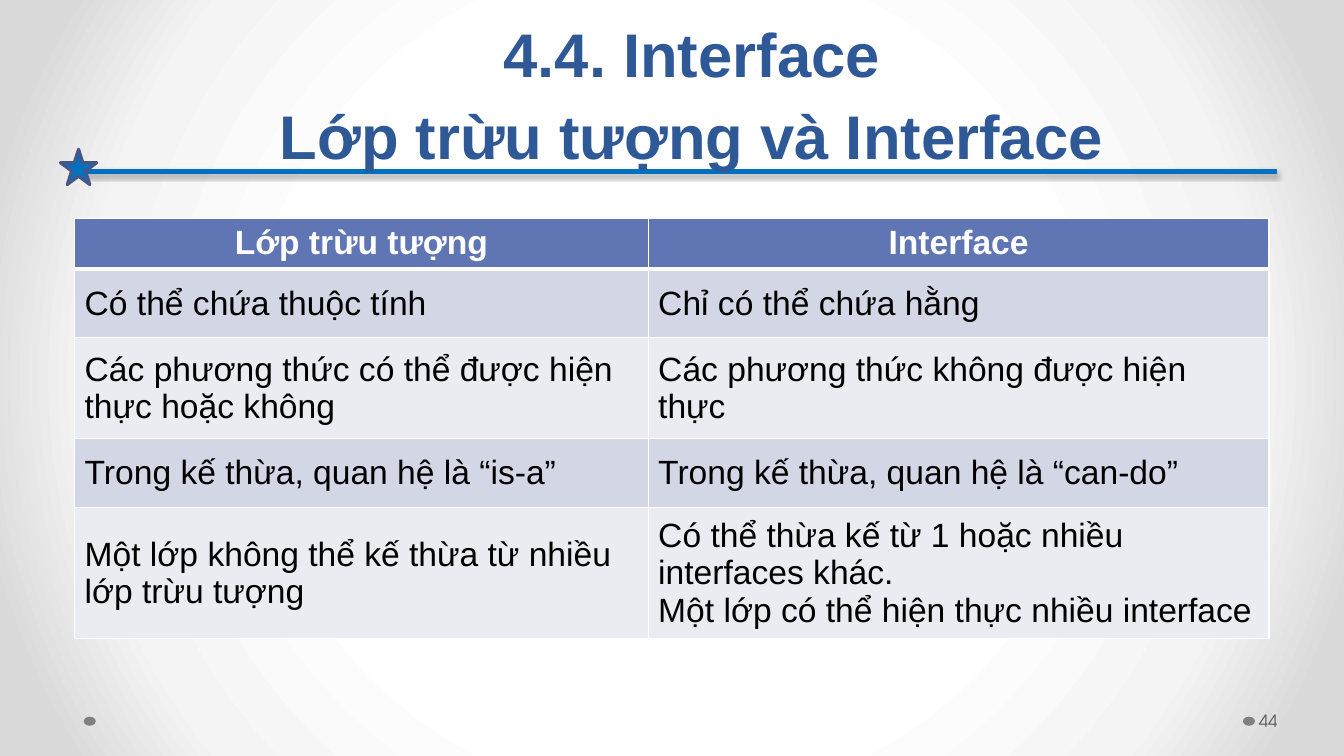
from lxml.etree import SubElement
from pptx import Presentation
from pptx.dml.color import RGBColor
from pptx.enum.shapes import MSO_CONNECTOR as Connector, MSO_SHAPE as Preset
from pptx.enum.text import MSO_ANCHOR as Anchor, PP_ALIGN as Align
from pptx.oxml import parse_xml
from pptx.oxml.ns import nsdecls, qn
from pptx.util import Pt

BLUE, WHITE, GREY = "0070C0", "FFFFFF", "808080"
HEADER, BANDS = "6076B4", ("EAECF2", "D2D6E5")
ROWS = [
    ("Lớp trừu tượng", "Interface"),
    ("Có thể chứa thuộc tính", "Chỉ có thể chứa hằng"),
    ("Các phương thức có thể được hiện thực hoặc không",
     "Các phương thức không được hiện thực"),
    ("Trong kế thừa, quan hệ là “is-a”", "Trong kế thừa, quan hệ là “can-do”"),
    ("Một lớp không thể kế thừa từ nhiều lớp trừu tượng",
     "Có thể thừa kế từ 1 hoặc nhiều interfaces khác.\n"
     "Một lớp có thể hiện thực nhiều interface"),
]
COLUMN_WIDTHS = (409.7, 443.5)
ROW_HEIGHTS = (33.5, 49, 72, 49.5, 88)


def colour(code):
    return RGBColor.from_string(code)


class SlideBuilder:
    """Holds the style and the current slide, and draws each kind of element."""

    font = "Arial"

    def __init__(self, deck):
        self.page = deck.slides.add_slide(deck.slide_layouts[5])

    def background(self, stops):
        self.page.background.fill.gradient()
        gradient = next(self.page.element.iter(qn("a:gradFill")))
        for child in list(gradient):
            gradient.remove(child)
        stop_list = SubElement(gradient, qn("a:gsLst"))
        for position, code in stops:
            stop = SubElement(stop_list, qn("a:gs"), pos=str(position * 1000))
            SubElement(stop, qn("a:srgbClr"), val=code)
        circle = SubElement(gradient, qn("a:path"), {"path": "circle"})
        SubElement(circle, qn("a:fillToRect"), l="50000", t="50000", r="50000", b="50000")

    def format(self, frame, size, code, bold=False, align=Align.LEFT, font=None):
        for para in frame.paragraphs:
            para.alignment = align
            for span in para.runs:
                span.font.name = font or self.font
                span.font.size = Pt(size)
                span.font.bold = bold
                span.font.color.rgb = colour(code)

    def shape(self, preset, left, top, width, height, fill, line=None, weight=0):
        shape = self.page.shapes.add_shape(preset, Pt(left), Pt(top), Pt(width), Pt(height))
        shape.shadow.inherit = False
        shape.fill.solid()
        shape.fill.fore_color.rgb = colour(fill)
        if line:
            shape.line.color.rgb = colour(line)
            shape.line.width = Pt(weight)
        else:
            shape.line.fill.background()

    def rule(self, left, right, top, code, weight):
        rule = self.page.shapes.add_connector(
            Connector.STRAIGHT, Pt(left), Pt(top), Pt(right), Pt(top))
        rule.line.color.rgb = colour(code)
        rule.line.width = Pt(weight)
        rule.element.spPr.append(parse_xml(
            f'<a:effectLst {nsdecls("a")}><a:outerShdw blurRad="{Pt(3.1)}" '
            f'dist="{Pt(1.8)}" dir="5400000" rotWithShape="0"><a:srgbClr val="000000">'
            '<a:alpha val="35000"/></a:srgbClr></a:outerShdw></a:effectLst>'))

    def title(self, text, left, top, width, height):
        title = self.page.shapes.title
        title.left, title.top = Pt(left), Pt(top)
        title.width, title.height = Pt(width), Pt(height)
        frame = title.text_frame
        frame.text = text
        frame.vertical_anchor = Anchor.BOTTOM
        frame.paragraphs[0].line_spacing = Pt(58)
        self.format(frame, 44, "2F5897", True, Align.CENTER)
        title.element.getparent().append(title.element)

    def label(self, text, left, top, width, height):
        box = self.page.shapes.add_textbox(Pt(left), Pt(top), Pt(width), Pt(height))
        frame = box.text_frame
        frame.word_wrap = True
        frame.margin_left, frame.margin_right = Pt(2), Pt(3.6)
        frame.vertical_anchor = Anchor.MIDDLE
        frame.text = text
        self.format(frame, 12, "595959", font="TeX Gyre Adventor")

    def borders(self, cell, bottom):
        properties = cell._tc.get_or_add_tcPr()
        for index, (side, weight) in enumerate(zip("LRTB", (1, 1, 1, bottom))):
            properties.insert(index, parse_xml(
                f'<a:ln{side} {nsdecls("a")} w="{Pt(weight)}"><a:solidFill>'
                f'<a:srgbClr val="{WHITE}"/></a:solidFill></a:ln{side}>'))

    def table(self, rows, left, top, widths, heights):
        table = self.page.shapes.add_table(
            len(rows), len(widths), Pt(left), Pt(top), Pt(sum(widths)), Pt(sum(heights))).table
        for column, width in zip(table.columns, widths):
            column.width = Pt(width)
        for row, height in zip(table.rows, heights):
            row.height = Pt(height)
        for number, texts in enumerate(rows):
            header = number == 0
            for cell, text in zip(table.rows[number].cells, texts):
                cell.text = text
                cell.vertical_anchor = Anchor.TOP if header else Anchor.MIDDLE
                cell.fill.solid()
                cell.fill.fore_color.rgb = colour(HEADER if header else BANDS[number % 2])
                self.format(cell.text_frame, 24, WHITE if header else "000000", header,
                            Align.CENTER if header else Align.LEFT)
                self.borders(cell, 3 if header else 1)


def main():
    deck = Presentation()
    deck.slide_width, deck.slide_height = Pt(960), Pt(540)
    slide = SlideBuilder(deck)
    slide.background([(50, WHITE), (76, "F4F4F4"), (92, "DADADA")])
    for left in (887.8, 59.8):
        slide.shape(Preset.OVAL, left, 511.9, 8.6, 6.5, GREY)
    slide.rule(60.5, 912.2, 122.4, BLUE, 4)
    slide.shape(Preset.STAR_5_POINT, 43.2, 106.6, 25.9, 25.2, BLUE, "475785", 2.25)
    slide.title("4.4. Interface\vLớp trừu tượng và Interface", 77.8, 13.7, 833, 112.3)
    slide.label("44", 897.1, 500.4, 59, 28.8)
    slide.table(ROWS, 53.3, 156.2, COLUMN_WIDTHS, ROW_HEIGHTS)
    deck.save("out.pptx")


if __name__ == "__main__":
    main()
